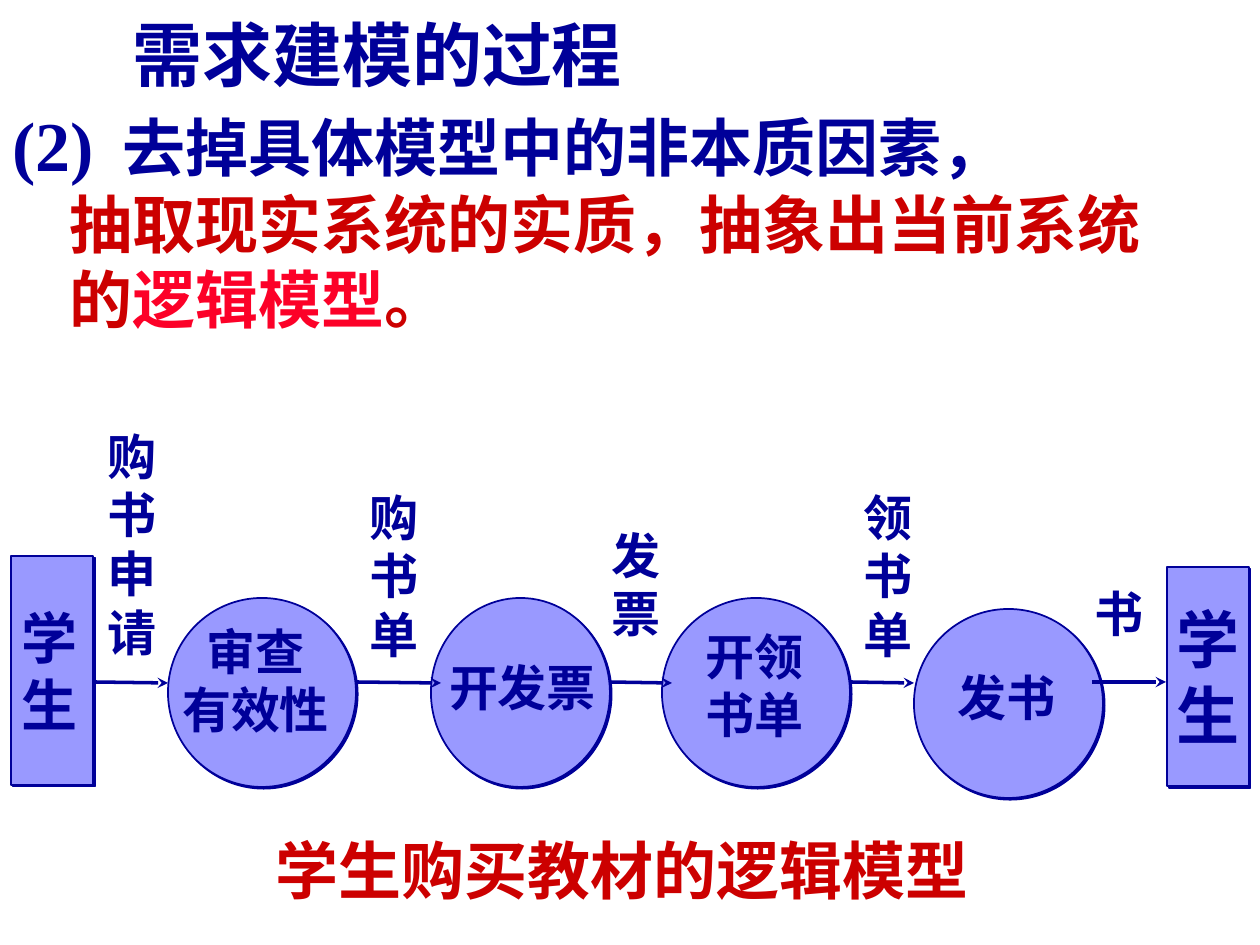
from lxml import etree
from pptx import Presentation, util as u
from pptx.dml.color import RGBColor
from pptx.enum import shapes, text
from pptx.oxml import ns

PX = 914400 / 126
COLORS = {"navy": "000099", "lilac": "9999FF", "red": "CC0000", "bright": "FC0128"}
CJK, LATIN = "Noto Sans CJK SC", "Times New Roman"
CENTER = text.PP_ALIGN.CENTER


def px(length):
    return u.Emu(round(length * PX))


def rgb(name):
    return RGBColor.from_string(COLORS[name])


def add_xml(parent, tag, **attributes):
    return etree.SubElement(parent, ns.qn(tag), attributes)


def write_text(frame, lines, size=28, color="navy", font=CJK, align=None,
               anchor=text.MSO_ANCHOR.TOP, wrap=False, indents=(), tab=None):
    frame.word_wrap = wrap
    frame.vertical_anchor = anchor
    for index, line in enumerate(lines):
        paragraph = frame.paragraphs[0] if index == 0 else frame.add_paragraph()
        runs = [(line, {})] if isinstance(line, str) else line
        tallest = max(style.get("size", size) for _, style in runs)
        properties = paragraph._p.get_or_add_pPr()
        if indents:
            properties.set("marL", str(px(indents[index])))
        paragraph.alignment = align
        paragraph.line_spacing = u.Pt(round(tallest * 1.2, 1))
        if tab and index == 0:
            stops = add_xml(properties, "a:tabLst")
            add_xml(stops, "a:tab", pos=str(px(tab)), algn="l")
        for words, style in runs:
            run = paragraph.add_run()
            run.text = words
            run.font.size = u.Pt(style.get("size", size))
            run.font.bold = True
            run.font.name = style.get("font", font)
            run.font.color.rgb = rgb(style.get("color", color))
            add_xml(run._r.get_or_add_rPr(), "a:ea", typeface=CJK)


def add_label(slide, lines, left, top, width, height, **style):
    box = slide.shapes.add_textbox(px(left), px(top), px(width), px(height))
    write_text(box.text_frame, lines, **style)


def add_node(slide, kind, left, top, width, height):
    node = slide.shapes.add_shape(kind, px(left), px(top), px(width), px(height))
    node.fill.solid()
    node.fill.fore_color.rgb = rgb("lilac")
    node.line.color.rgb = rgb("navy")
    node.line.width = u.Pt(1)
    node.shadow.inherit = False
    effects = node._element.spPr.find(ns.qn("a:effectLst"))
    shadow = add_xml(effects, "a:outerShdw", blurRad="0", dist=str(u.Pt(1.4)),
                     dir="2700000", algn="ctr", rotWithShape="0")
    add_xml(shadow, "a:srgbClr", val=COLORS["navy"])
    return node


def add_flow(slide, start, end, drop=1):
    flow = slide.shapes.add_connector(
        shapes.MSO_CONNECTOR.STRAIGHT, px(start), px(682), px(end), px(682 + drop))
    flow.line.color.rgb = rgb("navy")
    flow.line.width = u.Pt(2)
    add_xml(flow.line._get_or_add_ln(), "a:tailEnd", type="stealth")
    add_xml(flow._element.spPr, "a:effectLst")


def add_headings(slide):
    add_label(slide, ["需求建模的过程"], 73, 21, 1050, 66, size=40, font=LATIN,
              anchor=text.MSO_ANCHOR.MIDDLE, wrap=True, indents=[47])
    explanation = [
        [("(2)", {"size": 40, "font": LATIN}), ("\t去掉具体模型中的非本质因素，", {})],
        [("抽取现实系统的实质，抽象出当前系统", {"color": "red"})],
        [("的", {"color": "red"}), ("逻辑模型", {"color": "bright"}),
         ("。", {"color": "red"})],
    ]
    add_label(slide, explanation, 0, 95, 1250, 252, size=36, wrap=True,
              indents=[0, 57, 57], tab=110)
    add_label(slide, ["学生购买教材的逻辑模型"], 263, 825, 718, 88, size=36, color="red")


def add_diagram(slide):
    rectangle, ellipse = shapes.MSO_SHAPE.RECTANGLE, shapes.MSO_SHAPE.OVAL
    add_node(slide, rectangle, 11, 556, 82, 229)
    receiver = add_node(slide, rectangle, 1167, 567, 82, 219)
    write_text(receiver.text_frame, "学生", size=36, align=CENTER,
               anchor=text.MSO_ANCHOR.MIDDLE)
    for left, top, width in [(168, 598, 188), (431, 598, 179),
                             (662, 598, 188), (914, 609, 189)]:
        add_node(slide, ellipse, left, top, width, 189)

    add_label(slide, "学生", 9, 597, 97, 147, size=32, wrap=True)
    for document, left, top, width in [
            ("购书申请", 95, 420, 74), ("购书单", 357, 481, 84), ("发票", 599, 519, 74),
            ("领书单", 851, 481, 74), ("书", 1082, 577, 74)]:
        add_label(slide, document, left, top, width, 13 + 59 * len(document), wrap=True)

    for start, end in [(95, 168), (357, 441), (609, 672), (851, 914)]:
        add_flow(slide, start, end)
    add_flow(slide, 1092, 1166, drop=0)

    for process, left, top, width in [
            (["审查", "有效性"], 169, 615, 173), (["开发票"], 436, 651, 173),
            (["开领", "书单"], 693, 620, 123), (["发书"], 945, 661, 123)]:
        add_label(slide, process, left, top, width, 13 + 59 * len(process), align=CENTER)


def main():
    presentation = Presentation()
    presentation.slide_width, presentation.slide_height = px(1260), px(945)
    slide = presentation.slides.add_slide(presentation.slide_layouts[6])
    add_headings(slide)
    add_diagram(slide)
    presentation.save("out.pptx")


if __name__ == "__main__":
    main()
